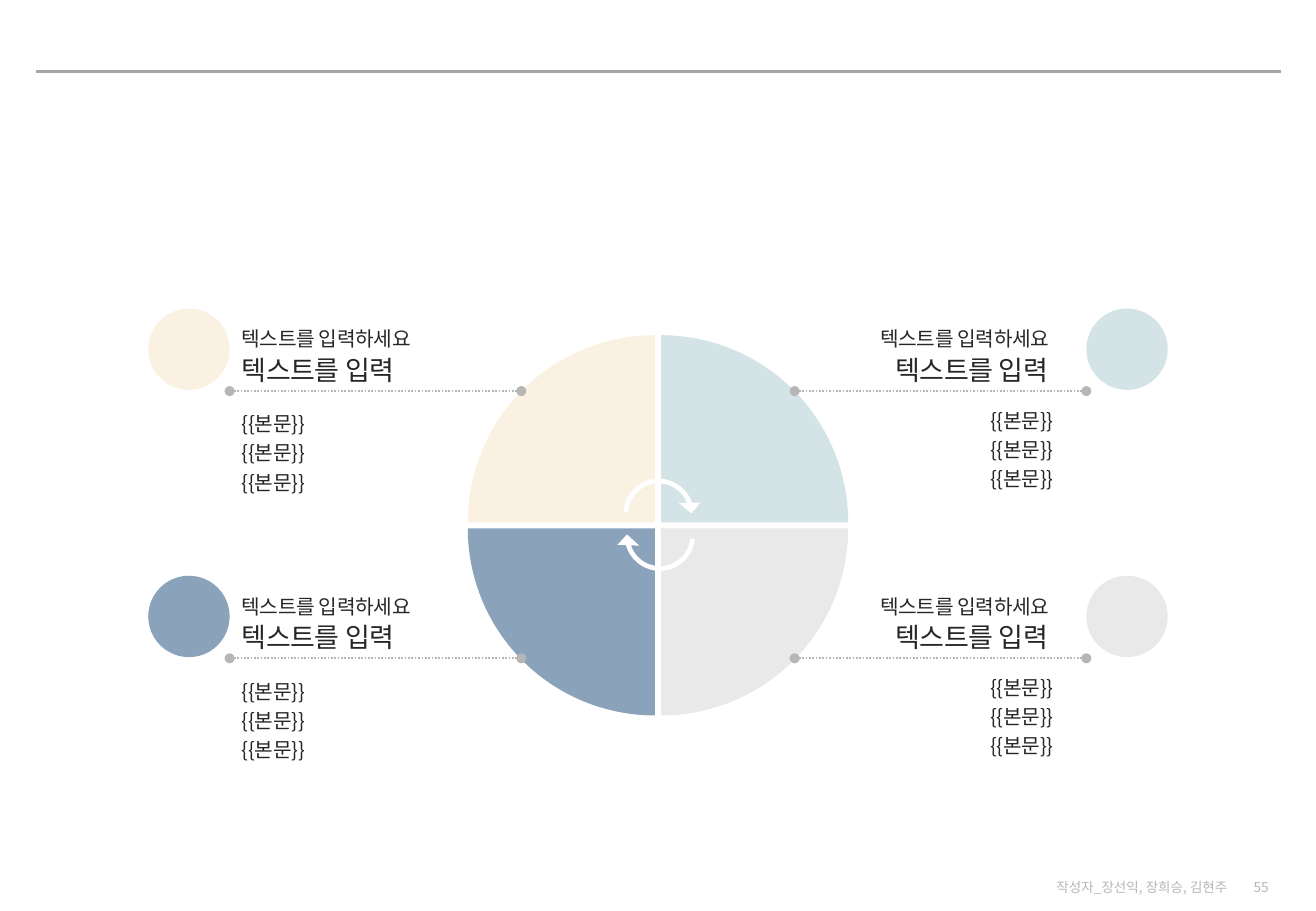
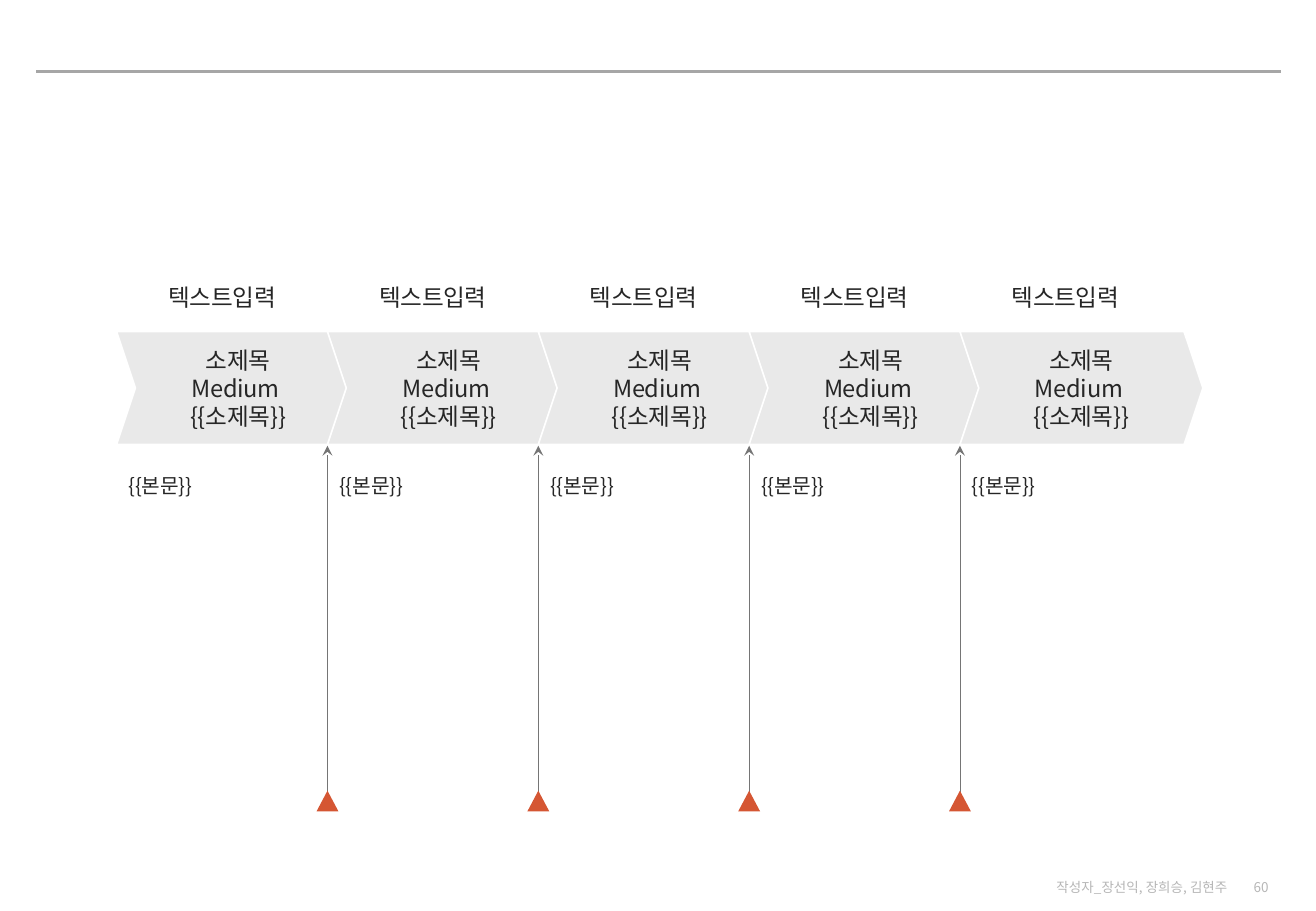
from dataclasses import dataclass

from lxml.etree import SubElement
from pptx import Presentation
from pptx.dml.color import RGBColor
from pptx.enum.dml import MSO_LINE
from pptx.enum.shapes import MSO_CONNECTOR, MSO_SHAPE
from pptx.enum.text import MSO_ANCHOR, MSO_AUTO_SIZE, PP_ALIGN
from pptx.oxml.ns import qn
from pptx.util import Inches, Pt


@dataclass(frozen=True)
class Theme:
    font: str = "Noto Sans CJK KR"
    text: str = "262626"
    muted: str = "B6B6B6"
    rule: str = "A6A6A6"
    arrow: str = "757575"
    white: str = "FFFFFF"
    cream: str = "FBF1E2"
    mint: str = "D4E3E5"
    blue: str = "8BA2BB"
    grey: str = "E9E9E9"
    marker: str = "D55633"
    footer_size: int = 8
    body_size: int = 12
    step_size: int = 14
    heading_size: int = 16
    body_spacing: float = 1.2
    tracking: int = -20


THEME = Theme()
BODY = "{{본문}}"


def write(frame, text, size, color=THEME.text, align=PP_ALIGN.LEFT,
          spacing=None, tracking=THEME.tracking):
    frame.word_wrap = True
    frame.text = text
    for paragraph in frame.paragraphs:
        paragraph.alignment = align
        if spacing:
            paragraph.line_spacing = spacing
        for run in paragraph.runs:
            run.font.size = Pt(size)
            run.font.name = THEME.font
            run.font.color.rgb = RGBColor.from_string(color)
            properties = run.font._element
            properties.set("spc", str(tracking))
            SubElement(properties, qn("a:ea"), typeface=THEME.font)


def add_text(shapes, box, text, size, anchor=MSO_ANCHOR.TOP, grow=False, **style):
    frame = shapes.add_textbox(*map(Inches, box)).text_frame
    write(frame, text, size, **style)
    frame.vertical_anchor = anchor
    frame.auto_size = MSO_AUTO_SIZE.SHAPE_TO_FIT_TEXT if grow else MSO_AUTO_SIZE.NONE


def add_figure(slide, preset, box, fill, outline=None, rotation=0, adjustments=()):
    figure = slide.shapes.add_shape(preset, *map(Inches, box))
    figure.shadow.inherit = False
    figure.fill.solid()
    figure.fill.fore_color.rgb = RGBColor.from_string(fill)
    if outline:
        figure.line.color.rgb = RGBColor.from_string(outline)
        figure.line.width = Pt(1)
    else:
        figure.line.fill.background()
    figure.rotation = rotation
    for index, value in enumerate(adjustments):
        figure.adjustments[index] = value
    return figure


def add_line(slide, start, end, color, width, dash=None, head=None, tail=None):
    line = slide.shapes.add_connector(
        MSO_CONNECTOR.STRAIGHT, *map(Inches, (*start, *end)))
    line.line.color.rgb = RGBColor.from_string(color)
    line.line.width = Pt(width)
    if dash:
        line.line.dash_style = dash
    properties = line._element.spPr
    for tag, kind in (("a:headEnd", head), ("a:tailEnd", tail)):
        if kind:
            SubElement(properties.find(qn("a:ln")), qn(tag), type=kind)
    SubElement(properties, qn("a:effectLst"))


def add_page(deck, number):
    slide = deck.slides.add_slide(deck.slide_layouts[6])
    add_line(slide, (0.3, 0.59), (10.54, 0.59), THEME.rule, 0)
    for left, width, text in ((10.13, 0.41, str(number)),
                              (8.52, 1.68, "작성자_장선익, 장희승, 김현주")):
        add_text(slide.shapes, (left, 7.22, width, 0.16), text, THEME.footer_size,
                 anchor=MSO_ANCHOR.MIDDLE, color=THEME.muted,
                 align=PP_ALIGN.RIGHT, tracking=0)
    return slide


def add_cycle(slide, left, top):
    side, pitch = 1.54, 1.59
    quadrants = ((0, 0, THEME.cream, 0), (1, 0, THEME.mint, 90),
                 (0, 1, THEME.blue, 270), (1, 1, THEME.grey, 180))
    for column, row, fill, rotation in quadrants:
        add_figure(slide, MSO_SHAPE.PIE_WEDGE,
                   (left + column * pitch, top + row * pitch, side, side),
                   fill, rotation=rotation)
    for dx, dy, rotation in ((1.21, 1.11, 0), (1.22, 1.29, 182.9)):
        add_figure(slide, MSO_SHAPE.CIRCULAR_ARROW, (left + dx, top + dy, 0.72, 0.72),
                   THEME.white, rotation=rotation,
                   adjustments=(0.054, 11.423, 204.142, 109.513, 0.125))


def add_callout(slide, left, top, fill, mirrored):
    width, badge, rule_top = 3.07, 0.67, 0.68
    if mirrored:
        badge_left, rule_left = left + width - badge, left
        text_width, body_top, align, ending = 2.23, 0.73, PP_ALIGN.RIGHT, " "
    else:
        badge_left, rule_left = left, left + badge
        text_width, body_top, align, ending = 2.39, 0.76, PP_ALIGN.LEFT, ""
    add_figure(slide, MSO_SHAPE.OVAL, (badge_left, top, badge, badge), fill)
    style = dict(grow=True, align=align, spacing=THEME.body_spacing)
    headings = slide.shapes.add_group_shape().shapes
    add_text(headings, (rule_left, top + 0.27, text_width, 0.42),
             "텍스트를 입력" + ending, THEME.heading_size, **style)
    add_text(headings, (rule_left, top + 0.06, text_width, 0.34),
             "텍스트를 입력하세요" + ending, THEME.body_size, **style)
    add_line(slide, (rule_left, top + rule_top),
             (rule_left + width - badge, top + rule_top),
             THEME.muted, 1, MSO_LINE.ROUND_DOT, "oval", "oval")
    add_text(slide.shapes, (rule_left, top + body_top, text_width, 0.82),
             "\n".join([BODY] * 3), THEME.body_size, **style)


def add_step(slide, left, top, width):
    add_text(slide.shapes, (left, top, width, 0.42), "텍스트입력", THEME.step_size,
             anchor=MSO_ANCHOR.MIDDLE, align=PP_ALIGN.CENTER, spacing=0.9)
    chevron = add_figure(slide, MSO_SHAPE.CHEVRON, (left, top + 0.48, 2, 0.93),
                         THEME.grey, THEME.white, adjustments=(0.167,))
    write(chevron.text_frame, "소제목\nMedium \n{{소제목}}", THEME.step_size,
          align=PP_ALIGN.CENTER)
    chevron.text_frame.vertical_anchor = MSO_ANCHOR.MIDDLE
    add_text(slide.shapes, (left, top + 1.56, width, 2.53), BODY, THEME.body_size,
             spacing=THEME.body_spacing)


def add_milestone(slide, center, top):
    add_line(slide, (center, top), (center, top + 2.97), THEME.arrow, 0.5,
             head="stealth")
    add_figure(slide, MSO_SHAPE.ISOSCELES_TRIANGLE,
               (center - 0.09, top + 2.84, 0.18, 0.17), THEME.marker)


def build_cycle_slide(deck):
    slide = add_page(deck, 55)
    add_cycle(slide, 3.85, 2.76)
    for top, left_fill, right_fill in ((2.54, THEME.cream, THEME.mint),
                                       (4.74, THEME.blue, THEME.grey)):
        add_callout(slide, 1.22, top, left_fill, mirrored=False)
        add_callout(slide, 6.54, top, right_fill, mirrored=True)


def build_process_slide(deck):
    slide = add_page(deck, 60)
    first, last, count, top = 0.96, 7.9, 5, 2.25
    pitch = (last - first) / (count - 1)
    step_lefts = [first + index * pitch for index in range(count)]
    for left in step_lefts:
        add_step(slide, left, top, pitch)
    for left in step_lefts[1:]:
        add_milestone(slide, left, top + 1.42)


def main():
    deck = Presentation()
    deck.slide_width, deck.slide_height = Inches(10.83), Inches(7.5)
    build_cycle_slide(deck)
    build_process_slide(deck)
    deck.save("out.pptx")


if __name__ == "__main__":
    main()
